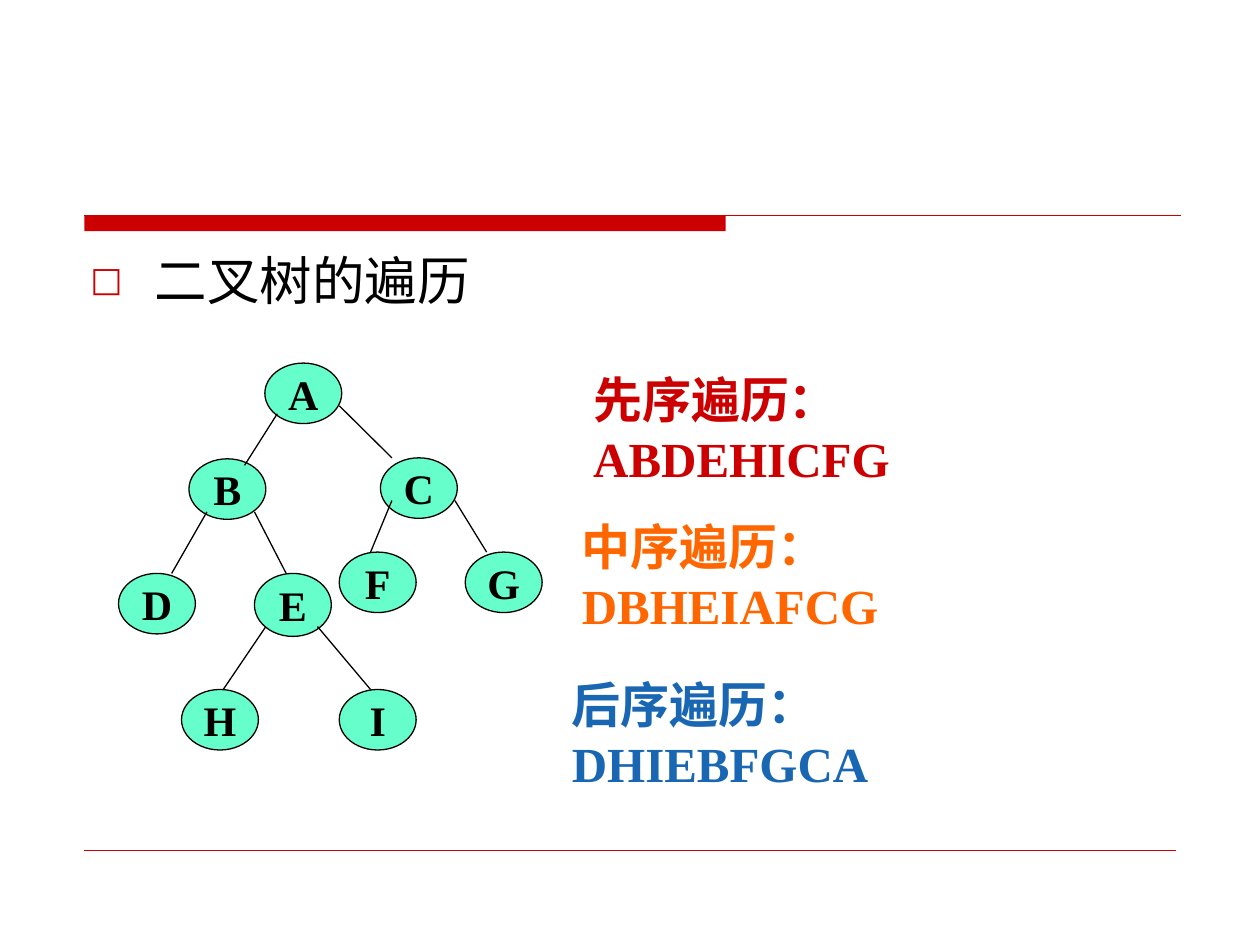
from lxml import etree
from pptx import Presentation
from pptx import util as u
from pptx.dml import color
from pptx.enum import shapes, text
from pptx.oxml import ns

COLORS = {
    "red": "CC0000",
    "orange": "FF6600",
    "blue": "1966B3",
    "mint": "66FFCC",
    "black": "000000",
}
NODE_WIDTH, NODE_HEIGHT = 1.55, 1.22
NODES = {
    "A": (2.95, 0),
    "B": (1.42, 1.93),
    "C": (5.28, 1.91),
    "D": (0, 4.24),
    "E": (2.74, 4.24),
    "F": (4.45, 3.81),
    "G": (6.99, 3.81),
    "H": (1.27, 6.58),
    "I": (4.45, 6.58),
}
NODE_HEIGHTS = {"E": 1.27}
EDGES = [
    (3.2, 1.02, 2.54, 2.06),
    (1.78, 3.0, 1.07, 4.24),
    (2.74, 3.0, 3.38, 4.24),
    (2.97, 5.31, 2.11, 6.58),
    (4.01, 5.31, 5.08, 6.58),
    (4.45, 0.86, 5.51, 1.91),
    (5.51, 2.77, 5.08, 3.81),
    (6.78, 2.77, 7.42, 3.81),
]
ORDERS = [
    (0.43, 0, "先序遍历：ABDEHICFG", "red"),
    (0.2, 2.97, "中序遍历：DBHEIAFCG", "orange"),
    (0, 6.15, "后序遍历：DHIEBFGCA", "blue"),
]


def rgb(name):
    return color.RGBColor.from_string(COLORS[name])


def format_runs(paragraph, size, font_name, color_name, bold=False):
    for run in paragraph.runs:
        run.font.size = u.Pt(size)
        run.font.name = font_name
        run.font.bold = bold
        run.font.color.rgb = rgb(color_name)


def add_line(slide, x1, y1, x2, y2, color_name, width):
    line = slide.shapes.add_connector(
        shapes.MSO_CONNECTOR.STRAIGHT, u.Cm(x1), u.Cm(y1), u.Cm(x2), u.Cm(y2)
    )
    line.line.color.rgb = rgb(color_name)
    line.line.width = u.Pt(width)
    etree.SubElement(line._element.spPr, ns.qn("a:effectLst"))


def add_rules(slide, left, top, width, height):
    bar = slide.shapes.add_shape(
        shapes.MSO_SHAPE.RECTANGLE, u.Cm(left), u.Cm(top), u.Cm(12.93), u.Cm(0.32)
    )
    bar.shadow.inherit = False
    bar.fill.solid()
    bar.fill.fore_color.rgb = rgb("red")
    bar.line.fill.background()
    add_line(slide, left, top, left + width, top, "red", 0.75)
    bottom = top + height
    add_line(slide, left, bottom, left + width - 0.1, bottom, "red", 0.25)


def add_heading(slide, left, top, width, height):
    body = slide.placeholders[1]
    body.left, body.top = u.Cm(left), u.Cm(top)
    body.width, body.height = u.Cm(width), u.Cm(height)
    body.text_frame.text = "二叉树的遍历"
    paragraph = body.text_frame.paragraphs[0]
    properties = paragraph._p.get_or_add_pPr()
    properties.set("marL", str(u.Cm(1.3)))
    properties.set("indent", str(-u.Cm(1.3)))
    bullet_color = etree.SubElement(properties, ns.qn("a:buClr"))
    etree.SubElement(bullet_color, ns.qn("a:srgbClr"), val=COLORS["red"])
    etree.SubElement(properties, ns.qn("a:buSzPct"), val="65000")
    etree.SubElement(properties, ns.qn("a:buFont"), typeface="DejaVu Sans")
    etree.SubElement(properties, ns.qn("a:buChar"), char="□")
    paragraph.space_before = u.Pt(0)
    format_runs(paragraph, 30, "DejaVu Sans", "black")


def add_tree(slide, left, top):
    for letter, (x, y) in NODES.items():
        node = slide.shapes.add_shape(
            shapes.MSO_SHAPE.OVAL, u.Cm(left + x), u.Cm(top + y),
            u.Cm(NODE_WIDTH), u.Cm(NODE_HEIGHTS.get(letter, NODE_HEIGHT)),
        )
        node.shadow.inherit = False
        node.fill.solid()
        node.fill.fore_color.rgb = rgb("mint")
        node.line.color.rgb = rgb("black")
        node.line.width = u.Pt(0.75)
        frame = node.text_frame
        frame.text = letter
        frame.word_wrap = False
        frame.vertical_anchor = text.MSO_ANCHOR.MIDDLE
        paragraph = frame.paragraphs[0]
        paragraph.alignment = text.PP_ALIGN.CENTER
        format_runs(paragraph, 24, "Times New Roman", "black", bold=True)
    for x1, y1, x2, y2 in EDGES:
        add_line(slide, left + x1, top + y1, left + x2, top + y2, "black", 0.75)


def add_orders(slide, left, top, width):
    for x, y, wording, color_name in ORDERS:
        box = slide.shapes.add_textbox(
            u.Cm(left + x), u.Cm(top + y), u.Cm(width), u.Cm(2.64)
        )
        frame = box.text_frame
        frame.word_wrap = True
        frame.auto_size = text.MSO_AUTO_SIZE.SHAPE_TO_FIT_TEXT
        frame.text = wording
        format_runs(frame.paragraphs[0], 28, "Times New Roman", color_name, bold=True)


def main():
    presentation = Presentation()
    presentation.slide_width = u.Cm(25.4)
    presentation.slide_height = u.Cm(19.05)
    slide = presentation.slides.add_slide(presentation.slide_layouts[1])
    title = slide.shapes.title._element
    title.getparent().remove(title)
    add_rules(slide, 1.7, 4.34, 22.1, 12.8)
    add_heading(slide, 1.57, 4.88, 22.23, 11.86)
    add_tree(slide, 2.39, 7.32)
    add_orders(slide, 11.28, 7.32, 10.8)
    presentation.save("out.pptx")


if __name__ == "__main__":
    main()
